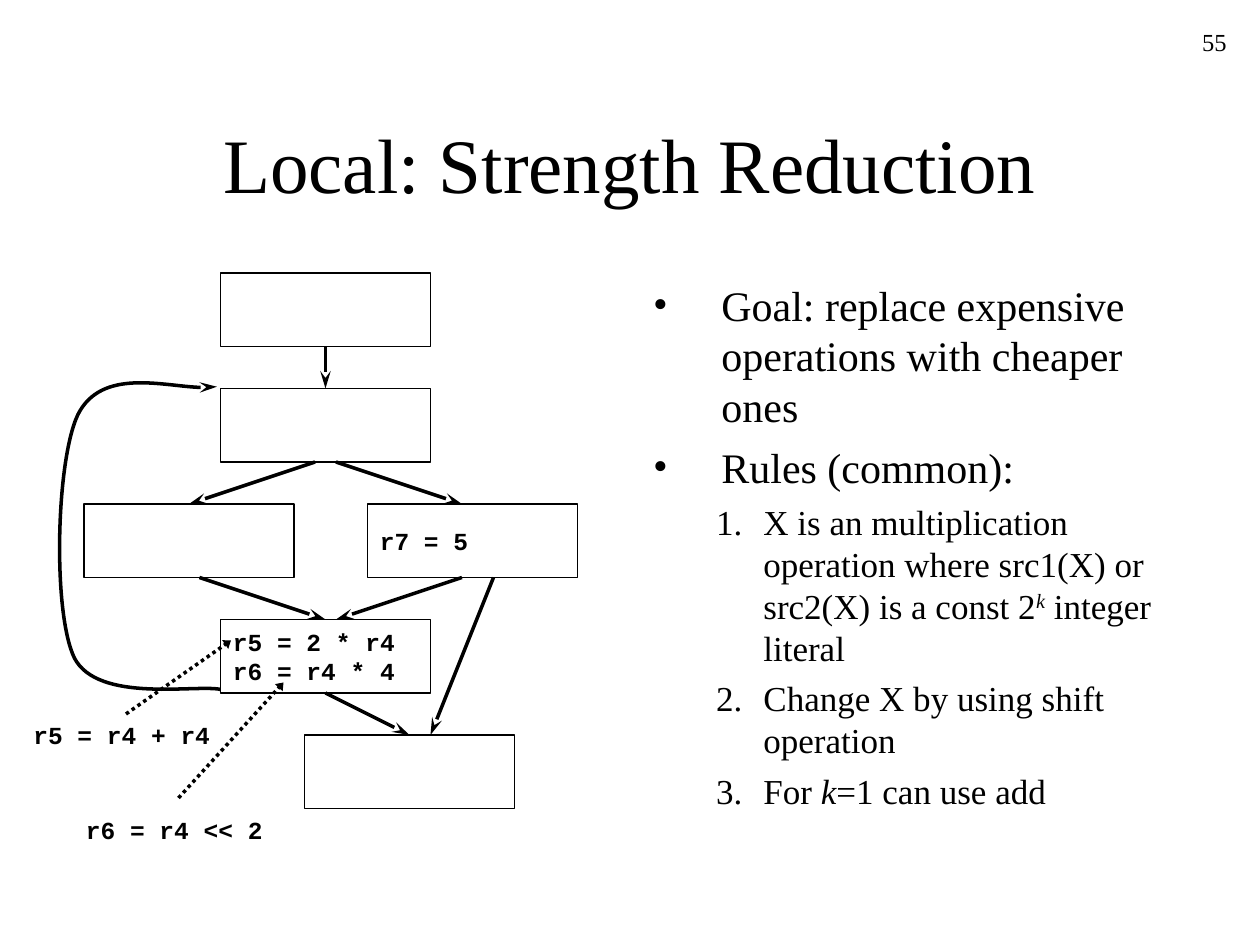
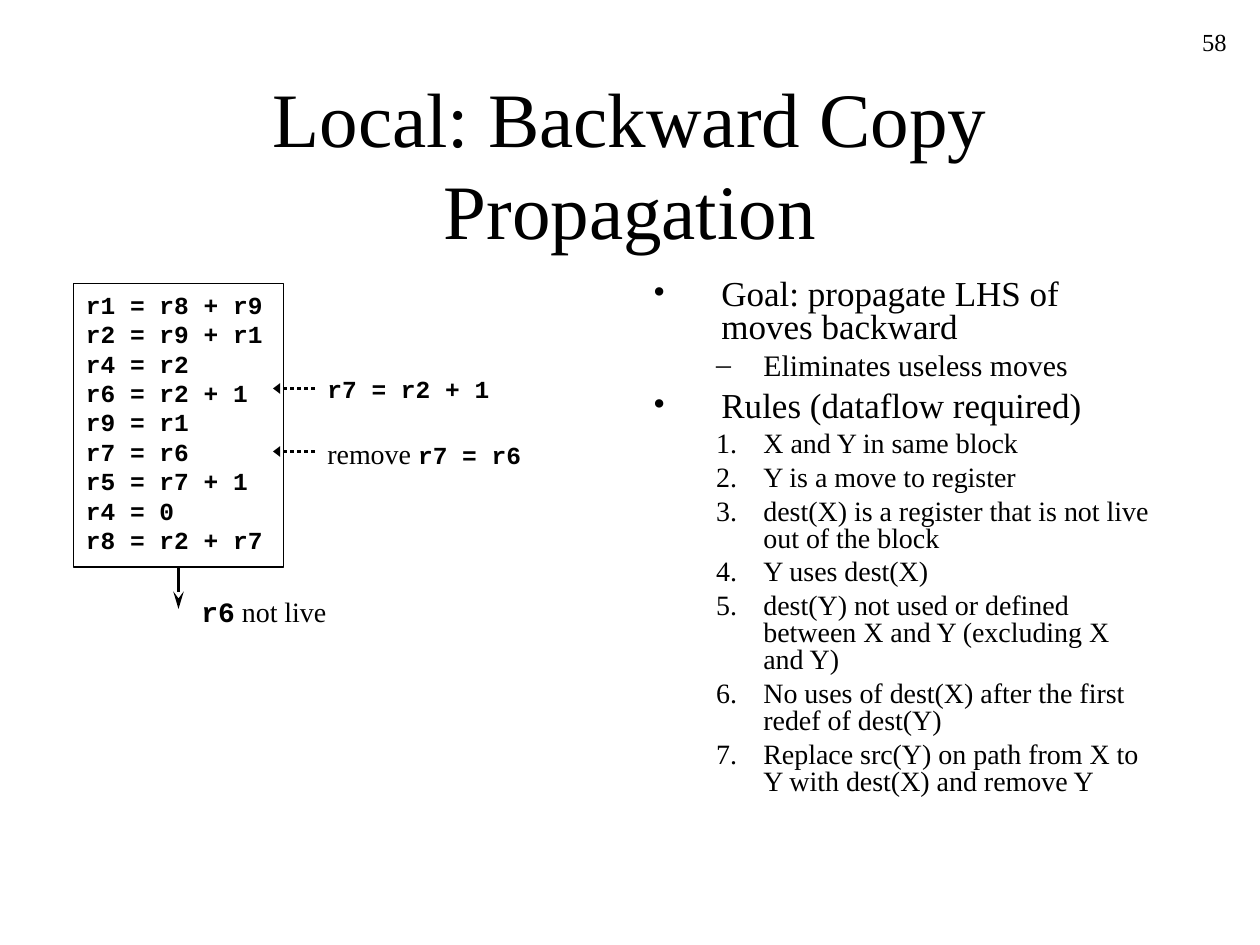
"""Build two slides on local compiler optimizations."""
from lxml.etree import SubElement as Sub
from pptx import Presentation as Deck
from pptx.dml.color import RGBColor as Rgb
from pptx.enum.dml import MSO_LINE as Dash
from pptx.enum.shapes import MSO_CONNECTOR as Link, MSO_SHAPE as Form
from pptx.enum.text import MSO_ANCHOR as Anchor, MSO_AUTO_SIZE as Auto, PP_ALIGN as Align
from pptx.oxml.ns import qn
from pptx.util import Pt

HUES = {"ink": "000000", "page": "FFFFFF"}
INK = Rgb.from_string(HUES["ink"])
SERIF, MONO = "Times New Roman", "Courier New"
WIDE, TALL, STEP, TOP = 120, 42, 66, 156
CODE = {"name": MONO, "bold": True}
SLANT = {"italic": True}
POWER = {"italic": True, "raised": True}
INDENT = [(39, -39), (63, -27)]
HEADS = {"stealth": "lg", "triangle": "sm"}


def put(par, parts, size, face=SERIF):
    if isinstance(parts, str):
        par.text = parts
    else:
        for part in parts:
            text, style = (part, {}) if isinstance(part, str) else part
            run = par.add_run()
            run.text = text
            for key, value in style.items():
                if key == "raised":
                    run._r.get_or_add_rPr().set("baseline", "30000")
                else:
                    setattr(run.font, key, value)
    font = par.font
    font.name, font.size, font.color.rgb = face, Pt(size), INK
    if face == MONO:
        font.bold = True


def place(shape, left, top, width, height):
    shape.left, shape.top = Pt(left), Pt(top)
    shape.width, shape.height = Pt(width), Pt(height)


def label(slide, left, top, width, parts, size=14, face=SERIF, align=Align.LEFT):
    spot = slide.shapes.add_textbox(Pt(left), Pt(top), Pt(width), Pt(26))
    frame = spot.text_frame
    frame.word_wrap = False
    par = frame.paragraphs[0]
    par.alignment = align
    put(par, parts, size, face)


def block(slide, left, top, code="", height=TALL):
    box = slide.shapes.add_shape(Form.RECTANGLE, Pt(left), Pt(top), Pt(WIDE), Pt(height))
    box.shadow.inherit = False
    box.fill.background()
    box.line.color.rgb, box.line.width = INK, Pt(0.75)
    if code:
        frame = box.text_frame
        frame.word_wrap = False
        frame.vertical_anchor = Anchor.MIDDLE if height == TALL else Anchor.TOP
        par = frame.paragraphs[0]
        par.alignment = Align.LEFT
        put(par, code, 14, MONO)


def point(line, head):
    line.color.rgb, line.width = INK, Pt(2)
    Sub(line._get_or_add_ln(), qn("a:tailEnd"), type=head, w="med", len=HEADS[head])


def arrow(slide, start, end, dots=False):
    link = slide.shapes.add_connector(Link.STRAIGHT, *map(Pt, start + end))
    if dots:
        link.line.dash_style = Dash.ROUND_DOT
    point(link.line, "triangle" if dots else "stealth")
    Sub(link._element.spPr, qn("a:effectLst"))


def curve(slide, start, knots):
    draft = slide.shapes.build_freeform(Pt(start[0]), Pt(start[1]))
    draft.add_line_segments([(Pt(x), Pt(y)) for x, y in knots], close=False)
    loop = draft.convert_to_shape()
    loop.shadow.inherit = False
    loop.fill.background()
    point(loop.line, "stealth")
    legs = list(loop._element.iter(qn("a:lnTo")))
    for first in range(0, len(legs), 3):
        trio = legs[first:first + 3]
        bend = Sub(trio[0].getparent(), qn("a:cubicBezTo"))
        for leg in trio:
            bend.append(leg[0])
            leg.getparent().remove(leg)


def bullet(par, mark):
    props = par._p.get_or_add_pPr()
    left, hang = INDENT[par.level]
    props.set("marL", str(Pt(left)))
    props.set("indent", str(Pt(hang)))
    tint = Sub(props, qn("a:buClr"))
    Sub(tint, qn("a:srgbClr"), val=HUES["ink"])
    Sub(props, qn("a:buFont"), typeface=SERIF)
    if mark == "1.":
        Sub(props, qn("a:buAutoNum"), type="arabicPeriod")
    else:
        Sub(props, qn("a:buChar"), char=mark)


def fill_list(slide, rows, space=1.0):
    body = slide.placeholders[1]
    place(body, 366, TOP, 300, 324)
    frame = body.text_frame
    frame.auto_size = Auto.NONE
    for num, (mark, size, parts) in enumerate(rows):
        par = frame.add_paragraph() if num else frame.paragraphs[0]
        par.level = 0 if mark == "•" else 1
        par.line_spacing = space
        par.space_before = Pt(size / 4 if num else 0)
        bullet(par, mark)
        put(par, parts, size)


def start(deck, title, number):
    slide = deck.slides.add_slide(deck.slide_layouts[1])
    slide.background.fill.solid()
    slide.background.fill.fore_color.rgb = Rgb.from_string(HUES["page"])
    head = slide.shapes.title
    place(head, 54, 48, 612, 90)
    frame = head.text_frame
    frame.auto_size = Auto.NONE
    frame.vertical_anchor = Anchor.MIDDLE
    par = frame.paragraphs[0]
    par.alignment = Align.CENTER
    put(par, title, 44)
    label(slide, 558, 12, 150, number, align=Align.RIGHT)
    return slide


def strength(deck):
    slide = start(deck, "Local: Strength Reduction", "55")
    curve(slide, (126, 394), [
        (112, 391), (56, 402), (42.5, 376), (30, 350), (32, 263.5),
        (44.5, 237), (58, 210), (107, 224), (124, 221)])
    cells = [(126, 0, ""), (126, 1, ""), (48, 2, ""), (210, 2, "r7 = 5"),
             (126, 3, "r5 = 2 * r4\nr6 = r4 * 4"), (174, 4, "")]
    for left, row, code in cells:
        block(slide, left, TOP + row * STEP, code)
    flows = [(186, 0, 186, 1), (180, 1, 108, 2), (192, 1, 264, 2), (114, 2, 186, 3),
             (264, 2, 192, 3), (186, 3, 234, 4), (282, 2, 246, 4)]
    for tail, above, tip, below in flows:
        arrow(slide, (tail, TOP + above * STEP + TALL), (tip, TOP + below * STEP))
    arrow(slide, (102, 456), (162, 390), True)
    arrow(slide, (72, 408), (132, 366), True)
    label(slide, 42, 462, 120, "r6 = r4 << 2", face=MONO)
    label(slide, 12, 408, 120, "r5 = r4 + r4", face=MONO)
    fill_list(slide, [
        ("•", 24, "Goal: replace expensive operations with cheaper ones"),
        ("•", 24, "Rules (common):"),
        ("1.", 20, ("X is an multiplication operation where src1(X) or src2(X) is a const 2",
                    ("k", POWER), " integer literal")),
        ("1.", 20, "Change X by using shift operation"),
        ("1.", 20, ("For ", ("k", SLANT), "=1 can use add"))])


def backward(deck):
    slide = start(deck, "Local: Backward Copy Propagation", "58")
    lines = ["r1 = r8 + r9", "r2 = r9 + r1", "r4 = r2", "r6 = r2 + 1", "r9 = r1",
             "r7 = r6", "r5 = r7 + 1", "r4 = 0", "r8 = r2 + r7"]
    block(slide, 42, 162, "\n".join(lines), 162)
    arrow(slide, (102, 324), (102, 348))
    for level in (222, 258):
        arrow(slide, (180, level), (156, level), True)
    label(slide, 180, 210, 112, "r7 = r2 + 1", face=MONO)
    label(slide, 180, 246, 130, ("remove ", ("r7 = r6", {**CODE, "size": Pt(14)})), 16)
    label(slide, 108, 336, 90, (("r6", CODE), " not live"), 16)
    rules = ["X and Y in same block", "Y is a move to register",
             "dest(X) is a register that is not live out of the block", "Y uses dest(X)",
             "dest(Y) not used or defined between X and Y (excluding X and Y)",
             "No uses of dest(X) after the first redef of dest(Y)",
             "Replace src(Y) on path from X to Y with dest(X) and remove Y"]
    fill_list(slide, [
        ("•", 20, "Goal: propagate LHS of moves backward"),
        ("–", 17, "Eliminates useless moves"),
        ("•", 20, "Rules (dataflow required)"),
        *[("1.", 16, rule) for rule in rules]], 0.8)


def main():
    deck = Deck()
    deck.slide_width, deck.slide_height = Pt(720), Pt(540)
    strength(deck)
    backward(deck)
    deck.save("out.pptx")


if __name__ == "__main__":
    main()
